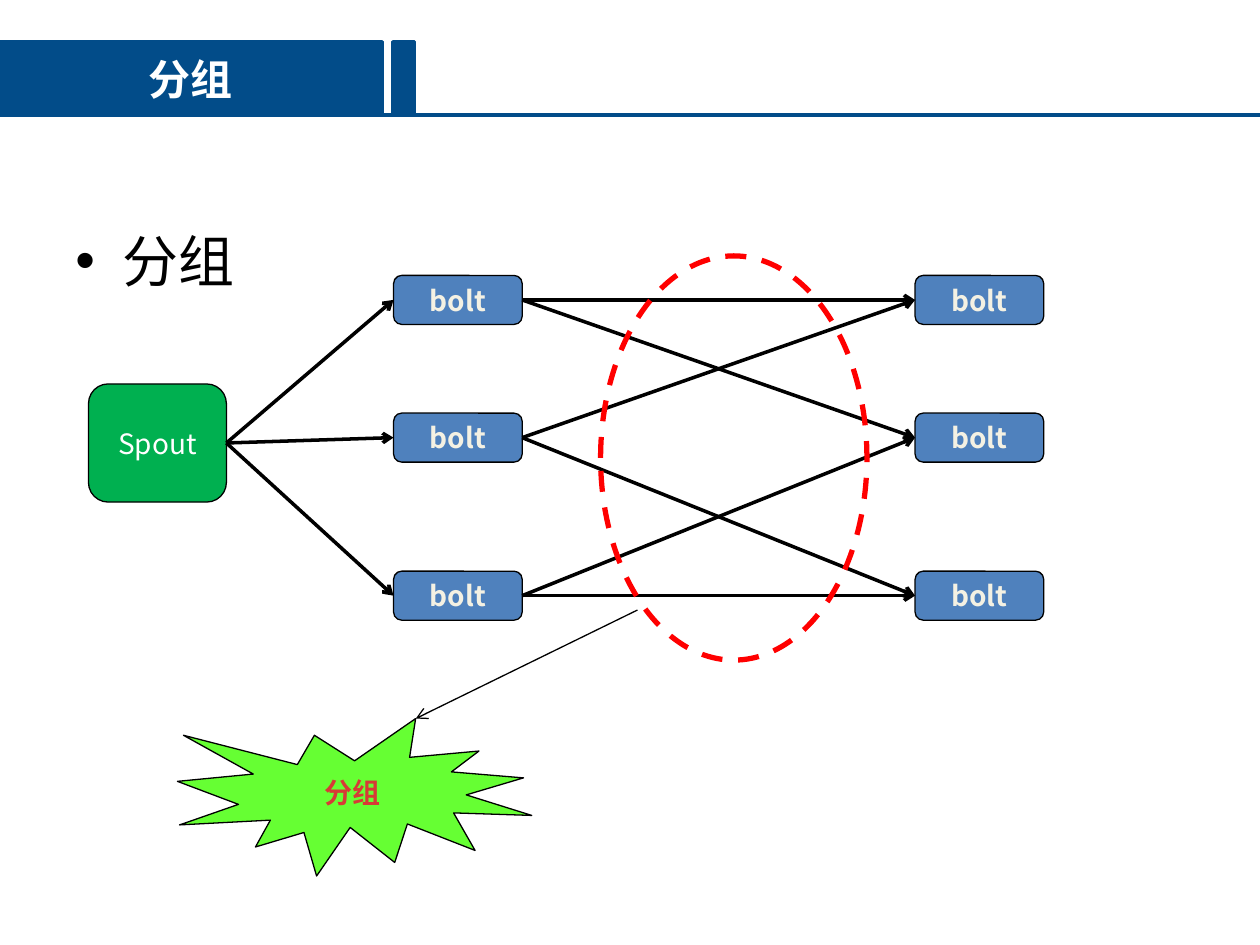
from itertools import product

from lxml.etree import SubElement
from pptx import Presentation
from pptx.dml.color import RGBColor
from pptx.enum.dml import MSO_LINE
from pptx.enum.shapes import MSO_CONNECTOR, MSO_SHAPE
from pptx.enum.text import MSO_ANCHOR, PP_ALIGN
from pptx.oxml.ns import qn
from pptx.util import Pt

FONT = "Noto Sans CJK SC"
BLACK = RGBColor(0x00, 0x00, 0x00)
WHITE = RGBColor(0xFF, 0xFF, 0xFF)
NAVY = RGBColor(0x02, 0x4C, 0x89)
BLUE = RGBColor(0x4F, 0x81, 0xBD)
CREAM = RGBColor(0xF4, 0xF1, 0xE3)
GREEN = RGBColor(0x00, 0xB0, 0x50)
LIME = RGBColor(0x66, 0xFF, 0x33)
RED = RGBColor(0xFF, 0x00, 0x00)
BRICK = RGBColor(0xD7, 0x3A, 0x36)

LEFT_SIDE, RIGHT_SIDE = 1, 3


def write_text(shape, text, size=16, color=BLACK, bold=False, wrap=False,
               align=PP_ALIGN.CENTER, anchor=MSO_ANCHOR.MIDDLE, bullet_indent=0):
    """Put one formatted paragraph into a shape."""
    frame = shape.text_frame
    frame.word_wrap = wrap
    frame.vertical_anchor = anchor
    paragraph = frame.paragraphs[0]
    paragraph.alignment = align
    if bullet_indent:
        properties = paragraph._p.get_or_add_pPr()
        properties.set("marL", str(Pt(bullet_indent)))
        properties.set("indent", str(-Pt(bullet_indent)))
        SubElement(properties, qn("a:buFont")).set("typeface", "Arial")
        SubElement(properties, qn("a:buChar")).set("char", "•")
    run = paragraph.add_run()
    run.text = text
    run.font.size = Pt(size)
    run.font.bold = bold
    run.font.color.rgb = color
    run.font.name = FONT
    SubElement(run._r.get_or_add_rPr(), qn("a:ea")).set("typeface", FONT)


def add_block(slide, kind, left, top, width, height, fill=None, line=BLACK, weight=0.75):
    """Add a preset shape with a flat fill and outline."""
    block = slide.shapes.add_shape(kind, Pt(left), Pt(top), Pt(width), Pt(height))
    block.shadow.inherit = False
    if fill is None:
        block.fill.background()
    else:
        block.fill.solid()
        block.fill.fore_color.rgb = fill
    block.line.color.rgb = line
    block.line.width = Pt(weight)
    return block


def add_line(slide, start=(0, 0), end=(0, 0), color=BLACK, weight=2.0, arrow=True):
    """Add a straight line, by default with an arrowhead at its end."""
    connector = slide.shapes.add_connector(
        MSO_CONNECTOR.STRAIGHT, *(Pt(value) for value in (*start, *end)))
    connector.line.color.rgb = color
    connector.line.width = Pt(weight)
    if arrow:
        SubElement(connector.line._get_or_add_ln(), qn("a:tailEnd")).set("type", "arrow")
    SubElement(connector._element.spPr, qn("a:effectLst"))
    return connector


def link(slide, source, target):
    """Join the right side of one block to the left side of another."""
    arrow = add_line(slide)
    arrow.begin_connect(source, RIGHT_SIDE)
    arrow.end_connect(target, LEFT_SIDE)


def add_title_bar(slide, left, top, width, height):
    """Draw the title block, its accent and the rule below."""
    bottom = top + height
    add_line(slide, (left, bottom), (left + width, bottom), NAVY, arrow=False)
    title = add_block(slide, MSO_SHAPE.RECTANGLE, left, top, 218.2, height, NAVY, NAVY, 2)
    write_text(title, "分组", size=24, color=WHITE, bold=True, wrap=True)
    add_block(slide, MSO_SHAPE.RECTANGLE, left + 224.6, top, 12.2, height, NAVY, NAVY, 2)


def add_body(slide, left, top, width, height):
    """Add the bulleted body text."""
    body = slide.shapes.add_textbox(Pt(left), Pt(top), Pt(width), Pt(height))
    write_text(body, "分组", size=32, wrap=True, align=PP_ALIGN.LEFT,
               anchor=MSO_ANCHOR.TOP, bullet_indent=27)


def add_topology(slide, left, top, width, height):
    """Draw the spout, two columns of bolts and the streams between them."""
    bolt_width, bolt_height = 73.5, 28
    row_tops = (top, top + 78.7, top + height - bolt_height)
    column_lefts = (left + 174.3, left + width - bolt_width)

    spout = add_block(slide, MSO_SHAPE.FLOWCHART_ALTERNATE_PROCESS,
                      left, top + 62, 78.8, 67.5, GREEN)
    write_text(spout, "Spout", color=WHITE)
    bolts = []
    for bolt_left, bolt_top in product(column_lefts, row_tops):
        bolt = add_block(slide, MSO_SHAPE.ROUNDED_RECTANGLE,
                         bolt_left, bolt_top, bolt_width, bolt_height, BLUE)
        write_text(bolt, "bolt", color=CREAM, bold=True)
        bolts.append(bolt)

    senders, receivers = bolts[:3], bolts[3:]
    for sender in senders:
        link(slide, spout, sender)
    for sender, receiver in ((0, 0), (0, 1), (1, 0), (1, 2), (2, 1), (2, 2)):
        link(slide, senders[sender], receivers[receiver])


def add_grouping_callout(slide, left, top, width, height):
    """Ring the streams and point from the ring to the grouping burst."""
    ring_width, ring_height = 152.2, 231
    burst_width, burst_height = 202.5, 90
    ring = add_block(slide, MSO_SHAPE.OVAL, left + width - ring_width, top,
                     ring_width, ring_height, line=RED, weight=3)
    ring.line.dash_style = MSO_LINE.DASH
    burst_top = top + height - burst_height
    add_line(slide, (left + 262.9, top + 202.4), (left + 136.2, burst_top), weight=0.75)
    burst = add_block(slide, MSO_SHAPE.EXPLOSION1, left, burst_top,
                      burst_width, burst_height, LIME)
    write_text(burst, "分组", color=BRICK, bold=True)


def main():
    """Build and save the slide."""
    presentation = Presentation()
    presentation.slide_width, presentation.slide_height = Pt(720), Pt(540)
    slide = presentation.slides.add_slide(presentation.slide_layouts[6])
    add_body(slide, 36, 126, 648, 356.4)
    add_topology(slide, 50.6, 157.4, 545.8, 197)
    add_grouping_callout(slide, 101.4, 146.2, 394, 354.4)
    add_title_bar(slide, 0, 23.8, 720, 41.8)
    presentation.save("out.pptx")


if __name__ == "__main__":
    main()
